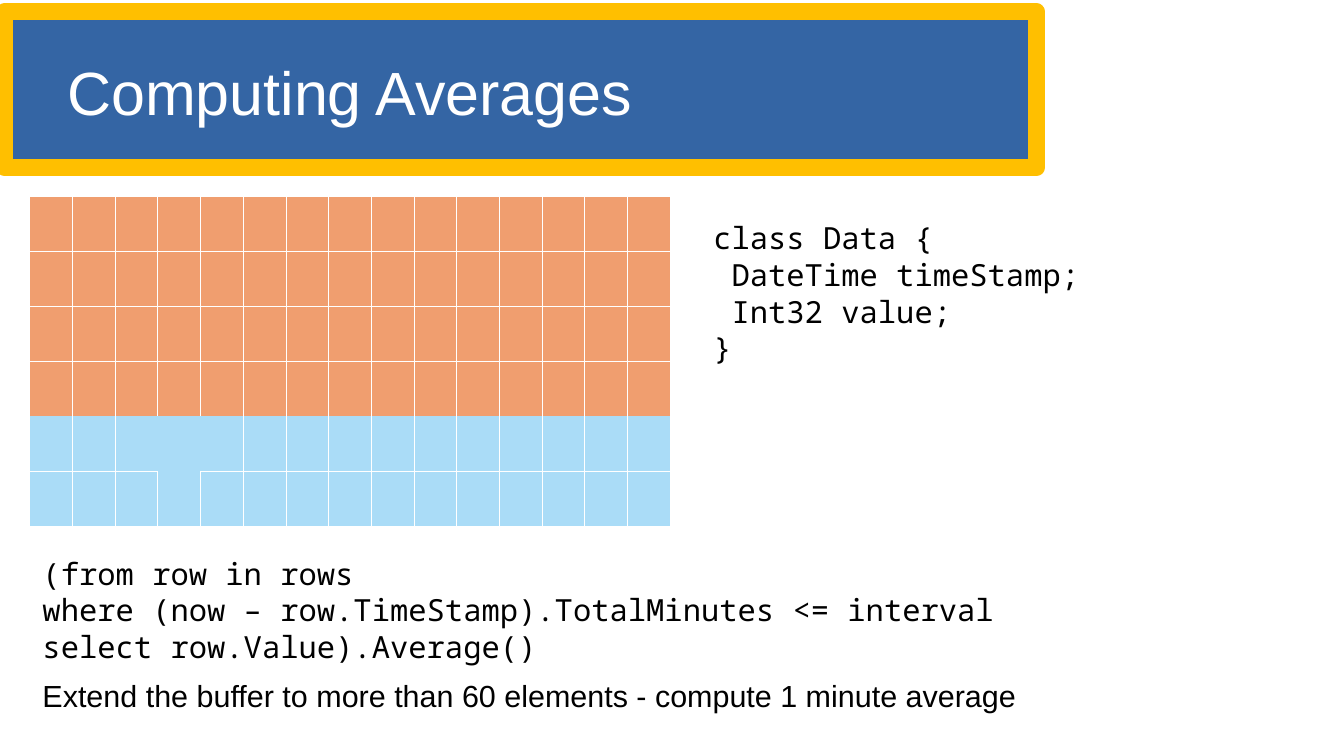
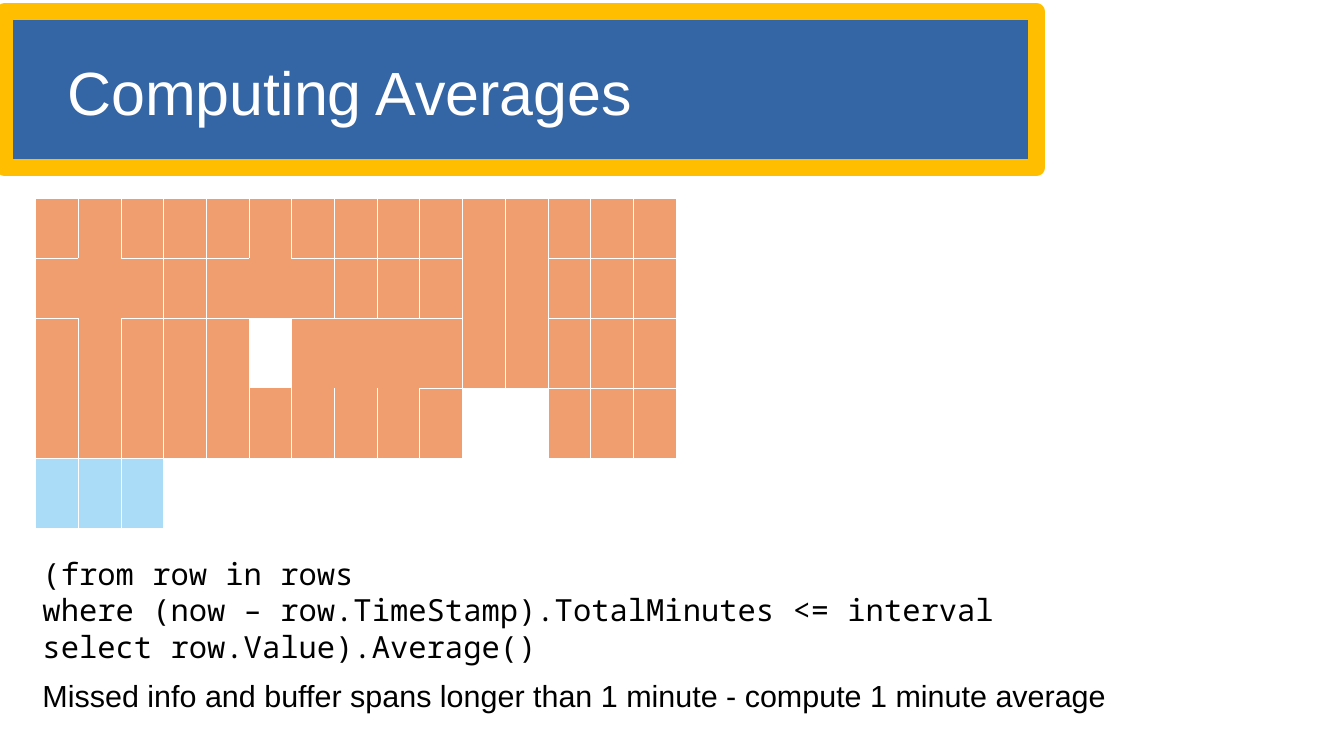
from lxml.etree import SubElement
from pptx import Presentation
from pptx.dml.color import RGBColor
from pptx.enum.shapes import MSO_SHAPE
from pptx.enum.text import MSO_ANCHOR
from pptx.oxml import parse_xml
from pptx.oxml.ns import nsdecls, qn
from pptx.util import Pt

COLORS = {
    "band": "3465A4",
    "frame": "FFBF00",
    "white": "FFFFFF",
    "black": "000000",
    "inside": "F09E6F",
    "outside": "AADCF7",
}
CELL_FILLS = {"O": "inside", "B": "outside", ".": "white"}
TEXT_FONT = "Arial"
CODE_FONT = "Noto Sans Mono"
COLUMNS = 15
COLUMN_WIDTH = 25.2
GRID_LINE = 0.06

QUERY = [
    "(from row in rows",
    "where (now – row.TimeStamp).TotalMinutes <= interval",
    "select row.Value).Average()",
]
DATA_CLASS = ["class Data {", " DateTime timeStamp;", " Int32 value;", "}"]

# Each buffer: one letter per cell, and the cells with no line right or below
SLIDES = [
    {
        "left": 17.4, "top": 115.9,
        "heights": [32.5] * 6,
        "cells": ["O" * COLUMNS] * 4 + ["B" * COLUMNS] * 2,
        "open_right": {4: [2, 3]},
        "open_below": {3: range(COLUMNS), 4: [3]},
        "caption": "Extend the buffer to more than 60 elements - compute 1 minute average",
        "code": DATA_CLASS,
    },
    {
        "left": 20.9, "top": 116.9,
        "heights": [35.5] * 2 + [41.3] * 3,
        "cells": [
            "OOOOOOOOOOOOOOO",
            "OOOOOOOOOOOOOOO",
            "OOOOO.OOOOOOOOO",
            "OOOOOOOOOO..OOO",
            "BBB............",
        ],
        "open_right": {1: [0, 1, 4, 5], 2: [6, 7, 8]},
        "open_below": {0: [1, 5, 10, 11], 1: [1, 5, 10, 11], 2: range(9)},
        "caption": "Missed info and buffer spans longer than 1 minute - compute 1 minute average",
        "code": [],
    },
]


def add_text(slide, lines, left, top, width, height, size=18, font=TEXT_FONT,
             color="black", anchor=MSO_ANCHOR.TOP, inset=(7.2, 3.6), spacing=None):
    """Add a text box with one paragraph per line."""
    box = slide.shapes.add_textbox(Pt(left), Pt(top), Pt(width), Pt(height))
    frame = box.text_frame
    frame.word_wrap = True
    frame.vertical_anchor = anchor
    frame.margin_left = frame.margin_right = Pt(inset[0])
    frame.margin_top = frame.margin_bottom = Pt(inset[1])
    for index, line in enumerate(lines):
        paragraph = frame.add_paragraph() if index else frame.paragraphs[0]
        if spacing:
            paragraph.line_spacing = Pt(spacing)
        run = paragraph.add_run()
        run.text = line
        run.font.size = Pt(size)
        run.font.name = font
        run.font.color.rgb = RGBColor.from_string(COLORS[color])


def set_borders(cell, open_sides):
    """Draw a white line on each side of the cell except the open ones."""
    properties = cell._tc.get_or_add_tcPr()
    for position, side in enumerate("LRTB"):
        line = parse_xml(f'<a:ln{side} {nsdecls("a")} w="{Pt(GRID_LINE)}"/>')
        if side in open_sides:
            SubElement(line, qn("a:noFill"))
        else:
            fill = SubElement(line, qn("a:solidFill"))
            SubElement(fill, qn("a:srgbClr")).set("val", COLORS["white"])
        properties.insert(position, line)


presentation = Presentation()
presentation.slide_width = Pt(793.44)
presentation.slide_height = Pt(446.4)

for content in SLIDES:
    slide = presentation.slides.add_slide(presentation.slide_layouts[6])

    # Title band
    band = slide.shapes.add_shape(MSO_SHAPE.RECTANGLE, Pt(2.9), Pt(7), Pt(609), Pt(92))
    band.shadow.inherit = False
    band.fill.solid()
    band.fill.fore_color.rgb = RGBColor.from_string(COLORS["band"])
    band.line.color.rgb = RGBColor.from_string(COLORS["frame"])
    band.line.width = Pt(10.09)
    SubElement(band._element.spPr.find(qn("a:ln")), qn("a:round"))
    add_text(slide, ["Computing Averages"], 39.6, 17.3, 553, 73.4, size=36,
             color="white", anchor=MSO_ANCHOR.MIDDLE, inset=(0, 0))

    # Buffer grid
    heights = content["heights"]
    table = slide.shapes.add_table(
        len(heights), COLUMNS, Pt(content["left"]), Pt(content["top"]),
        Pt(COLUMNS * COLUMN_WIDTH), Pt(sum(heights))).table
    table.first_row = table.horz_banding = False
    for column in table.columns:
        column.width = Pt(COLUMN_WIDTH)
    open_right, open_below = content["open_right"], content["open_below"]
    for row, height in enumerate(heights):
        table.rows[row].height = Pt(height)
        for column, letter in enumerate(content["cells"][row]):
            cell = table.cell(row, column)
            cell.fill.solid()
            cell.fill.fore_color.rgb = RGBColor.from_string(COLORS[CELL_FILLS[letter]])
            neighbours = {
                "L": column - 1 in open_right.get(row, []),
                "R": column in open_right.get(row, []),
                "T": column in open_below.get(row - 1, []),
                "B": column in open_below.get(row, []),
            }
            set_borders(cell, [side for side, is_open in neighbours.items() if is_open])

    # Query, caption and data class
    add_text(slide, QUERY, 18, 324, 594, 70, font=CODE_FONT, spacing=21.65)
    add_text(slide, [content["caption"]], 18, 396, 732, 27.4)
    if content["code"]:
        add_text(slide, content["code"], 414, 126, 378, 88, font=CODE_FONT, spacing=21.65)

presentation.save("out.pptx")
